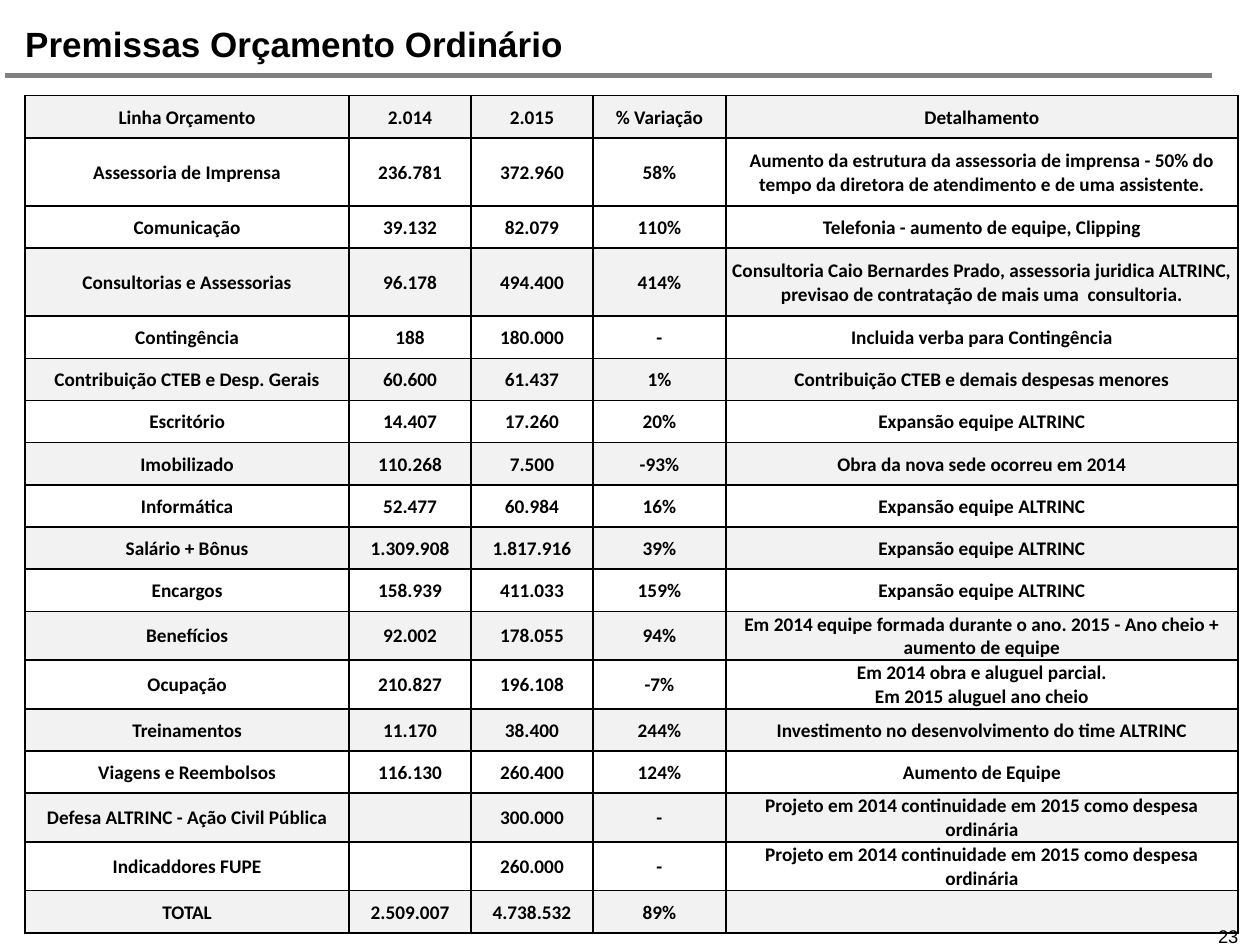
from dataclasses import dataclass

from lxml import etree
from pptx import Presentation
from pptx.dml.color import RGBColor
from pptx.enum.shapes import MSO_CONNECTOR
from pptx.enum.text import MSO_ANCHOR, MSO_AUTO_SIZE, PP_ALIGN
from pptx.oxml import parse_xml
from pptx.oxml.ns import nsdecls, qn
from pptx.util import Pt

LINE = MSO_CONNECTOR.STRAIGHT
MIDDLE = MSO_ANCHOR.MIDDLE
FIXED = MSO_AUTO_SIZE.NONE
LEFT, CENTER = PP_ALIGN.LEFT, PP_ALIGN.CENTER


@dataclass(frozen=True)
class Theme:
    """Colours, fonts and type sizes of the slide."""
    ink: str = "000000"
    rule: str = "808080"
    band: str = "F2F2F2"
    plain: str = "FFFFFF"
    head: str = "Arial"
    body: str = "Calibri"
    title: float = 20
    cell: float = 11
    page: float = 10.5


THEME = Theme()
COLS = [185.1, 69.7, 69.7, 76, 292.6]
LOW, MID, TALL = 24.1, 26, 38.9
TEAM = "Expansão equipe ALTRINC"
PROJECT = "Projeto em 2014 continuidade em 2015 como despesa ordinária"
ROWS = [
    (LOW, "Linha Orçamento", "2.014", "2.015", "% Variação", "Detalhamento"),
    (TALL, "Assessoria de Imprensa", "236.781", "372.960", "58%",
     "Aumento da estrutura da assessoria de imprensa - 50% do tempo da "
     "diretora de atendimento e de uma assistente."),
    (LOW, "Comunicação", "39.132", "82.079", "110%",
     "Telefonia - aumento de equipe, Clipping"),
    (TALL, "Consultorias e Assessorias", "96.178", "494.400", "414%",
     "Consultoria Caio Bernardes Prado, assessoria juridica ALTRINC, "
     "previsao de contratação de mais uma  consultoria."),
    (LOW, "Contingência", "188", "180.000", "-",
     "Incluida verba para Contingência"),
    (LOW, "Contribuição CTEB e Desp. Gerais", "60.600", "61.437", "1%",
     "Contribuição CTEB e demais despesas menores"),
    (LOW, "Escritório", "14.407", "17.260", "20%", TEAM),
    (LOW, "Imobilizado", "110.268", "7.500", "-93%",
     "Obra da nova sede ocorreu em 2014"),
    (LOW, "Informática", "52.477", "60.984", "16%", TEAM),
    (LOW, "Salário + Bônus", "1.309.908", "1.817.916", "39%", TEAM),
    (LOW, "Encargos", "158.939", "411.033", "159%", TEAM),
    (MID, "Benefícios", "92.002", "178.055", "94%",
     "Em 2014 equipe formada durante o ano. 2015 - Ano cheio + "
     "aumento de equipe"),
    (MID, "Ocupação", "210.827", "196.108", "-7%",
     "Em 2014 obra e aluguel parcial.\vEm 2015 aluguel ano cheio"),
    (LOW, "Treinamentos", "11.170", "38.400", "244%",
     "Investimento no desenvolvimento do time ALTRINC"),
    (LOW, "Viagens e Reembolsos", "116.130", "260.400", "124%",
     "Aumento de Equipe"),
    (MID, "Defesa ALTRINC - Ação Civil Pública", "", "300.000", "-", PROJECT),
    (MID, "Indicaddores FUPE", "", "260.000", "-", PROJECT),
    (LOW, "TOTAL", "2.509.007", "4.738.532", "89%", ""),
]


def style(frame, face, size, bold, align):
    """Format every run of a text frame."""
    for para in frame.paragraphs:
        para.alignment = align
        for run in para.runs:
            font = run.font
            font.name, font.size, font.bold = face, Pt(size), bold
            font.color.rgb = RGBColor.from_string(THEME.ink)


def place(shape, box):
    """Move a shape into a box given in points."""
    shape.left, shape.top, shape.width, shape.height = map(Pt, box)


def heading(slide, box, text):
    """Fill the title placeholder."""
    title = slide.shapes.title
    place(title, box)
    frame = title.text_frame
    frame.text = text
    frame.margin_left = frame.margin_right = 0
    frame.margin_top = frame.margin_bottom = 0
    frame.vertical_anchor = MIDDLE
    frame.auto_size = FIXED
    style(frame, THEME.head, THEME.title, True, LEFT)


def rule(slide, box):
    """Draw the line below the title."""
    x, y, wide, high = box
    line = slide.shapes.add_connector(
        LINE, Pt(x), Pt(y), Pt(x + wide), Pt(y + high))
    line.line.color.rgb = RGBColor.from_string(THEME.rule)
    line.line.width = Pt(3.2)
    props = line._element.spPr
    etree.SubElement(props, qn("a:effectLst"))


def border(cell):
    """Put a thin line on all four sides of a cell."""
    props = cell._tc.get_or_add_tcPr()
    for side in "LRTB":
        props.append(parse_xml(
            f'<a:ln{side} {nsdecls("a")} w="{Pt(1)}"><a:solidFill>'
            f'<a:srgbClr val="{THEME.ink}"/></a:solidFill></a:ln{side}>'))


def fill(cell, text, shade):
    """Write and format one table cell."""
    cell.margin_left = cell.margin_right = cell.margin_top = Pt(0.7)
    cell.margin_bottom = 0
    cell.vertical_anchor = MIDDLE
    border(cell)
    cell.fill.solid()
    cell.fill.fore_color.rgb = RGBColor.from_string(shade)
    cell.text_frame.text = text
    style(cell.text_frame, THEME.body, THEME.cell, True, CENTER)


def budget(slide, box):
    """Build the budget table with its banded rows."""
    table = slide.shapes.add_table(
        len(ROWS), len(COLS), *map(Pt, box)).table
    for col, wide in zip(table.columns, COLS):
        col.width = Pt(wide)
    for i, (high, *texts) in enumerate(ROWS):
        table.rows[i].height = Pt(high)
        banded = i == 0 or (i > 1 and i % 2)
        shade = THEME.band if banded else THEME.plain
        for j, text in enumerate(texts):
            fill(table.cell(i, j), text, shade)


def folio(slide, box, text):
    """Write the page number."""
    frame = slide.shapes.add_textbox(*map(Pt, box)).text_frame
    frame.word_wrap = True
    frame.text = text
    style(frame, THEME.head, THEME.page, False, LEFT)


def main():
    """Build and save the slide."""
    deck = Presentation()
    deck.slide_width, deck.slide_height = Pt(720), Pt(540)
    slide = deck.slides.add_slide(deck.slide_layouts[5])
    rule(slide, (2.9, 43.2, 689.8, 0))
    heading(slide, (14.4, 12.4, 684.7, 25), "Premissas Orçamento Ordinário")
    high = sum(row[0] for row in ROWS)
    budget(slide, (14.4, 54.7, sum(COLS), high))
    folio(slide, (689, 524.9, 31, 15.1), "23")
    deck.save("out.pptx")


if __name__ == "__main__":
    main()
